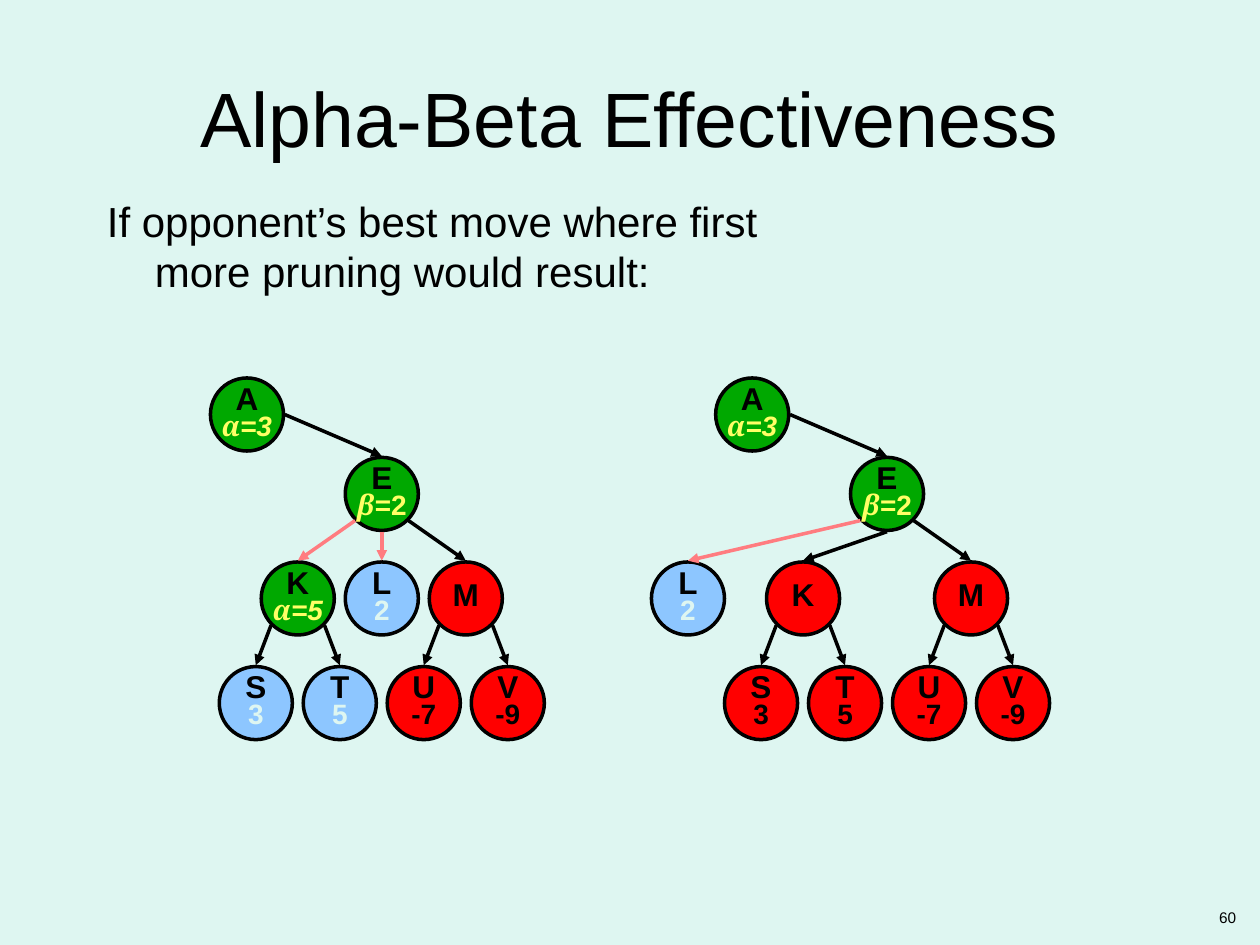
from dataclasses import dataclass
from math import cos, radians, sin
from typing import Any

from lxml.etree import SubElement
from pptx import Presentation
from pptx.dml.color import RGBColor
from pptx.enum.shapes import MSO_CONNECTOR, MSO_SHAPE
from pptx.enum.text import MSO_ANCHOR as Anchor, PP_ALIGN as Align
from pptx.oxml.ns import qn
from pptx.util import Inches, Pt

COLORS = {
    "background": "DEF6F1",
    "black": "000000",
    "open": "00A800",
    "leaf": "8DC6FF",
    "pruned": "FF0000",
    "bound": "FFFF66",
    "visited": "FF7C80",
}
DIAMETER = 0.58
REACH = 0.3  # arrows stop just outside the circle
STEP = 2 / 3  # distance between neighbouring nodes
LEVELS = {"A": 3.29, "E": 3.92, "KLM": 4.75, "STUV": 5.58}
ANGLES = {"right": 0, "lower right": 45, "bottom": 90, "lower left": 135, "top": 270}
VALUE = {"size": Pt(16), "bold": True}


@dataclass(frozen=True)
class Node:
    name: str
    offset: float  # from the centre of E
    state: str
    value: str = ""
    greek: str = ""
    value_color: str = "black"

    @property
    def level(self) -> float:
        return next(y for names, y in LEVELS.items() if self.name in names)


@dataclass(frozen=True)
class Edge:
    parent: str
    child: str
    side: str
    color: str = "black"


@dataclass(frozen=True)
class Tree:
    center: float
    nodes: list[Node]
    edges: list[Edge]


def rgb(name: str) -> RGBColor:
    return RGBColor.from_string(COLORS[name])


def add_run(paragraph: Any, text: str, color: str, **formats: Any) -> None:
    run = paragraph.add_run()
    run.text = text
    for attribute, value in ({"name": "Arial"} | formats).items():
        setattr(run.font, attribute, value)
    run.font.color.rgb = rgb(color)


def add_label(slide: Any, box: tuple, lines: list[str], size: float, align: Any,
              anchor: Any = Anchor.TOP, hanging: float = 0) -> None:
    frame = slide.shapes.add_textbox(*map(Inches, box)).text_frame
    frame.word_wrap = True
    frame.vertical_anchor = anchor
    paragraph = frame.paragraphs[0]
    paragraph.alignment = align
    if hanging:
        properties = paragraph._p.get_or_add_pPr()
        properties.set("marL", str(Inches(hanging)))
        properties.set("indent", str(-Inches(hanging)))
    for index, line in enumerate(lines):
        if index:
            paragraph.add_line_break()
        add_run(paragraph, line, "black", size=Pt(size))


def draw_node(shapes: Any, node: Node, center: float) -> None:
    left = center + node.offset - DIAMETER / 2
    top = node.level - DIAMETER / 2
    circle = shapes.add_shape(MSO_SHAPE.OVAL, *map(Inches, (left, top, DIAMETER, DIAMETER)))
    circle.shadow.inherit = False
    circle.fill.solid()
    circle.fill.fore_color.rgb = rgb(node.state)
    circle.line.color.rgb = rgb("black")
    circle.line.width = Pt(2)

    frame = circle.text_frame
    frame.word_wrap = False
    frame.vertical_anchor = Anchor.MIDDLE
    add_run(frame.paragraphs[0], node.name, "black", size=Pt(18), bold=True)
    if node.value:
        value = frame.add_paragraph()
        if node.greek:
            add_run(value, node.greek, node.value_color, **VALUE, name="Cambria", italic=True)
        add_run(value, node.value, node.value_color, **VALUE, italic=node.greek == "α")
    for paragraph in frame.paragraphs:
        paragraph.alignment = Align.CENTER
        paragraph.line_spacing = 0.75


def rim_point(node: Node, center: float, side: str) -> tuple[float, float]:
    angle = radians(ANGLES[side])
    return center + node.offset + REACH * cos(angle), node.level + REACH * sin(angle)


def draw_edge(shapes: Any, parent: Node, child: Node, edge: Edge, center: float) -> None:
    ends = rim_point(parent, center, edge.side) + rim_point(child, center, "top")
    arrow = shapes.add_connector(MSO_CONNECTOR.STRAIGHT, *map(Inches, ends))
    arrow.line.color.rgb = rgb(edge.color)
    arrow.line.width = Pt(2)
    SubElement(arrow.line._get_or_add_ln(), qn("a:tailEnd"), type="triangle")
    SubElement(arrow._element.spPr, qn("a:effectLst"))


def draw_tree(shapes: Any, tree: Tree) -> None:
    nodes = {node.name: node for node in tree.nodes}
    for node in tree.nodes:
        draw_node(shapes, node, tree.center)
    for edge in tree.edges:
        draw_edge(shapes, nodes[edge.parent], nodes[edge.child], edge, tree.center)


SHARED_NODES = [
    Node("A", -1.07, "open", "=3", "α", "bound"),
    Node("E", 0, "open", "=2", "β", "bound"),
    Node("M", STEP, "pruned"),
    Node("U", STEP / 2, "pruned", "-7"),
    Node("V", STEP * 1.5, "pruned", "-9"),
]
SHARED_EDGES = [
    Edge("A", "E", "right"),
    Edge("E", "M", "lower right"),
    Edge("K", "S", "lower left"),
    Edge("K", "T", "lower right"),
    Edge("M", "U", "lower left"),
    Edge("M", "V", "lower right"),
]
ORIGINAL_ORDER = Tree(
    3.03,
    SHARED_NODES + [
        Node("K", -STEP, "open", "=5", "α", "bound"),
        Node("L", 0, "leaf", "2", value_color="background"),
        Node("S", -STEP * 1.5, "leaf", "3", value_color="background"),
        Node("T", -STEP / 2, "leaf", "5", value_color="background"),
    ],
    SHARED_EDGES + [
        Edge("E", "K", "lower left", "visited"),
        Edge("E", "L", "bottom", "visited"),
    ],
)
BEST_MOVE_FIRST = Tree(
    7.04,
    SHARED_NODES + [
        Node("L", -1.58, "leaf", "2", value_color="background"),
        Node("K", -STEP, "pruned"),
        Node("S", -STEP * 1.5, "pruned", "3"),
        Node("T", -STEP / 2, "pruned", "5"),
    ],
    SHARED_EDGES + [
        Edge("E", "L", "lower left", "visited"),
        Edge("E", "K", "bottom"),
    ],
)


def main() -> None:
    deck = Presentation()
    deck.slide_width, deck.slide_height = Inches(10), Inches(7.5)
    slide = deck.slides.add_slide(deck.slide_layouts[6])
    slide.background.fill.solid()
    slide.background.fill.fore_color.rgb = rgb("background")

    add_label(slide, (7.58, 7.16, 2.33, 0.25), ["60"], 8.8, Align.RIGHT)
    add_label(slide, (0.5, 0.3, 9, 1.25), ["Alpha-Beta Effectiveness"], 44,
              Align.CENTER, Anchor.MIDDLE)
    add_label(slide, (0.75, 1.5, 6.25, 1),
              ["If opponent’s best move where first", "more pruning would result:"],
              24, Align.LEFT, hanging=0.38)
    draw_tree(slide.shapes, ORIGINAL_ORDER)
    draw_tree(slide.shapes.add_group_shape().shapes, BEST_MOVE_FIRST)
    deck.save("out.pptx")


if __name__ == "__main__":
    main()
